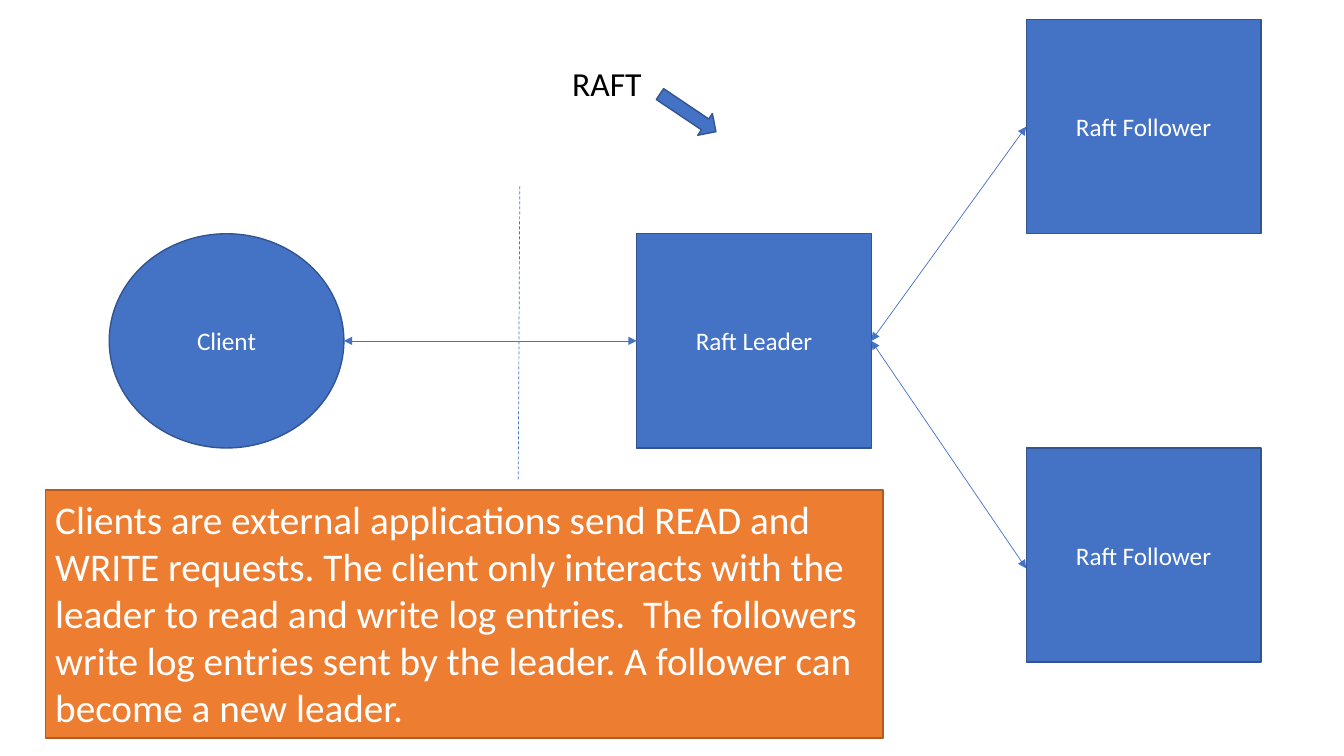
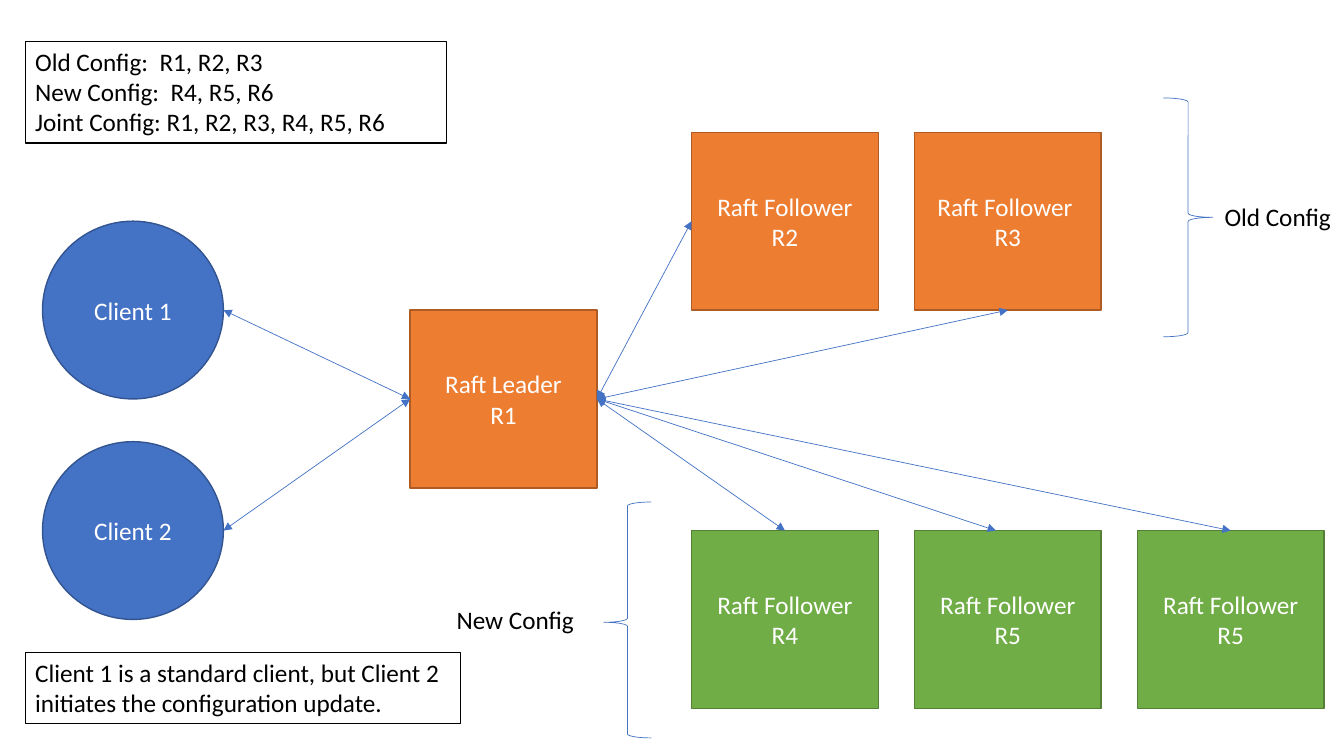
"""Build two diagram slides on Raft clients, leaders and configuration changes."""
from lxml import etree
from pptx import Presentation
from pptx import util as u
from pptx.dml.color import RGBColor
from pptx.enum import dml, shapes, text
from pptx.oxml.ns import qn

Pt = u.Pt
COLOURS = {
    "blue": "4472C4", "blue edge": "325491",
    "orange": "ED7D31", "orange edge": "AF5C24",
    "green": "70AD47", "green edge": "538035",
    "white": "FFFFFF", "white edge": "000000",
    "black": "000000",
}
RGB = {name: RGBColor.from_string(value) for name, value in COLOURS.items()}
FONT = "Calibri"
KIND = shapes.MSO_SHAPE
TOP, LEFT, BOTTOM, RIGHT = range(4)


def add_box(page, kind, frame, lines=(), fill=None, ink="white", size=18, label=False, wrap=True):
    """Add a shape, or a text box when kind is None; labels are left-aligned and fit their text."""
    place = [Pt(value) for value in frame]
    if kind is None:
        box = page.shapes.add_textbox(*place)
    else:
        box = page.shapes.add_shape(kind, *place)
        box.shadow.inherit = False
        if fill:
            box.fill.solid()
            box.fill.fore_color.rgb = RGB[fill]
            box.line.color.rgb = RGB[fill + " edge"]
            box.line.width = Pt(1)
        else:
            box.fill.background()
            box.line.color.rgb = RGB["blue"]
            box.line.width = Pt(0.5)
    body = box.text_frame
    body.word_wrap = wrap
    body.vertical_anchor = text.MSO_ANCHOR.TOP if label else text.MSO_ANCHOR.MIDDLE
    if label:
        body.auto_size = text.MSO_AUTO_SIZE.SHAPE_TO_FIT_TEXT
    for index, line in enumerate(lines):
        para = body.add_paragraph() if index else body.paragraphs[0]
        para.alignment = text.PP_ALIGN.LEFT if label else text.PP_ALIGN.CENTER
        span = para.add_run()
        span.text = line
        span.font.name = FONT
        span.font.size = Pt(size)
        span.font.color.rgb = RGB[ink]
    return box


def add_link(page, start, end, arrows=True):
    """Add a thin line; each end is an (x, y) point or a (box, side) pair."""
    link = page.shapes.add_connector(shapes.MSO_CONNECTOR.STRAIGHT, 0, 0, 0, 0)
    if isinstance(start[0], (int, float)):
        link.begin_x, link.begin_y = Pt(start[0]), Pt(start[1])
    else:
        link.begin_connect(*start)
    if isinstance(end[0], (int, float)):
        link.end_x, link.end_y = Pt(end[0]), Pt(end[1])
    else:
        link.end_connect(*end)
    link.line.color.rgb = RGB["blue"]
    link.line.width = Pt(0.5)
    if arrows:
        outline = link.line._get_or_add_ln()
        for tag in ("a:headEnd", "a:tailEnd"):
            etree.SubElement(outline, qn(tag), type="triangle")
    else:
        link.line.dash_style = dml.MSO_LINE.DASH
    etree.SubElement(link._element.spPr, qn("a:effectLst"))


deck = Presentation()
deck.slide_width, deck.slide_height = Pt(960), Pt(540)
blank = deck.slide_layouts[6]

page = deck.slides.add_slide(blank)
width, height, middle_top = 167.6, 153, 167
middle = middle_top + height / 2
client_left = 78
add_box(page, KIND.OVAL, (client_left, middle_top, width, height), ["Client"], "blue")
leader = add_box(page, KIND.RECTANGLE, (454.8, middle_top, width, height), ["Raft Leader"], "blue")
upper, lower = [
    add_box(page, KIND.RECTANGLE, (733, top, width, height), ["Raft Follower"], "blue")
    for top in (middle_top - height, middle_top + height)
]
add_link(page, (client_left + width, middle), (leader, LEFT))
add_link(page, (leader, RIGHT), (upper, LEFT))
add_link(page, (leader, RIGHT), (733, 406))
explanation = (
    "Clients are external applications send READ and WRITE requests. "
    "The client only interacts with the leader to read and write log entries.  "
    "The followers write log entries sent by the leader. "
    "A follower can become a new leader."
)
add_box(page, KIND.RECTANGLE, (32.4, 350, 598.4, 177.2), [explanation], "orange", size=28, label=True)
add_link(page, (371.3, 133.2), (370.2, 343.4), arrows=False)
add_box(page, None, (401.6, 41.2, 64.8, 36.3), ["RAFT"], ink="black", size=24, label=True, wrap=False)
pointer = add_box(page, KIND.RIGHT_ARROW, (467.3, 71.3, 48.2, 18.7), fill="blue")
pointer.rotation = 33.9

page = deck.slides.add_slide(blank)
width, height, step = 133.4, 127, 159.2
first_left, old_top, new_top = 494, 94.5, 379
client_left, client_width = 30.4, 129.2
leader = add_box(page, KIND.RECTANGLE, (293, old_top + height, width, height),
                 ["Raft Leader", "R1"], "orange")
followers = []
for top, fill, column, title, name in (
    (old_top, "orange", 0, "Raft Follower", "R2"),
    (old_top, "orange", 1, "Raft Follower ", "R3"),
    (new_top, "green", 0, "Raft Follower", "R4"),
    (new_top, "green", 1, "Raft Follower", "R5"),
    (new_top, "green", 2, "Raft Follower", "R5"),
):
    frame = (first_left + column * step, top, width, height)
    followers.append(add_box(page, KIND.RECTANGLE, frame, [title, name], fill))
for name, centre in (("Client 1", old_top + height), ("Client 2", new_top)):
    frame = (client_left, centre - height / 2, client_width, height)
    add_box(page, KIND.OVAL, frame, [name], "blue")
    add_link(page, (client_left + client_width, centre), (leader, LEFT))
for target in (
    (followers[0], LEFT),
    (followers[1], BOTTOM),
    (followers[2], TOP),
    (711.4, new_top),
    (followers[4], TOP),
):
    add_link(page, (leader, RIGHT), target)

add_box(page, KIND.RIGHT_BRACE, (831, 70, 35.3, 170.6))
new_brace = add_box(page, KIND.LEFT_BRACE, (431.3, 358.6, 33.8, 168.5))
new_brace.adjustments[1] = 0.51
for caption, frame in (
    ("Old Config", (867.6, 140.4, 91.4, 29.1)),
    ("New Config", (319, 428.4, 99.4, 29.1)),
):
    add_box(page, None, frame, [caption], ink="black", label=True, wrap=False)
configs = ["Old Config:  R1, R2, R3", "New Config:  R4, R5, R6", "Joint Config: R1, R2, R3, R4, R5, R6"]
note = ["Client 1 is a standard client, but Client 2", "initiates the configuration update."]
add_box(page, KIND.RECTANGLE, (18, 29.5, 301, 72.7), configs, "white", "black", label=True)
add_box(page, KIND.RECTANGLE, (18, 466, 311, 50.9), note, "white", "black", label=True, wrap=False)

deck.save("out.pptx")
